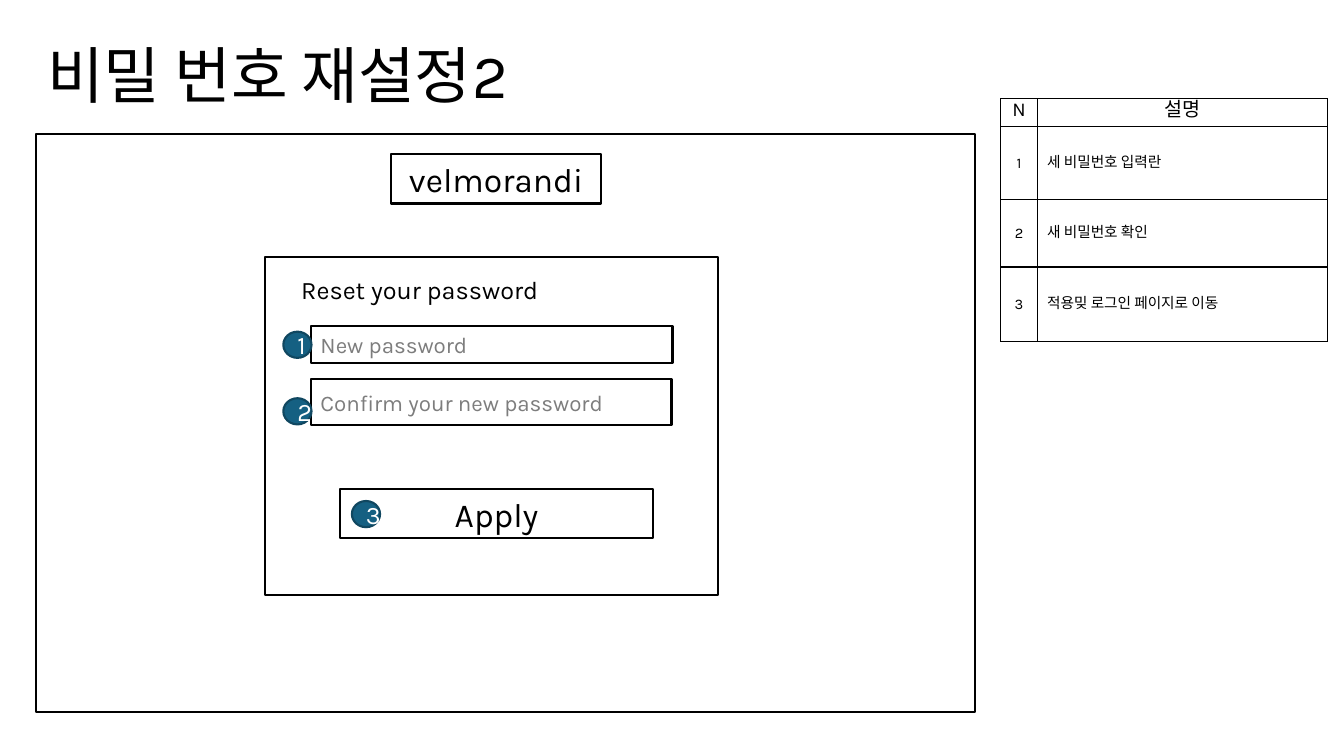
"""Build the password reset wireframe slide with its legend table."""
from dataclasses import dataclass

import pptx
import pptx.dml.color
import pptx.enum.shapes
import pptx.enum.text
import pptx.oxml
import pptx.oxml.ns
import pptx.util

SHAPE = pptx.enum.shapes.MSO_SHAPE
ALIGN = pptx.enum.text.PP_ALIGN
ANCHOR = pptx.enum.text.MSO_ANCHOR
WIDTH, HEIGHT = 13.33, 7.5


@dataclass(frozen=True)
class Theme:
    """Colours, font and type sizes of the slide."""
    font: str = "Karla"
    ink: str = "000000"
    paper: str = "FFFFFF"
    hint: str = "7D7D7D"
    badge: str = "156082"
    badge_line: str = "104760"
    title: float = 44
    button: float = 24
    heading: float = 18
    field: float = 16
    header: float = 14
    note: float = 10.5
    note_leading: float = 12.8
    line: float = 1.5
    border: float = 1


THEME = Theme()


def rgb(value):
    """Return a colour from its hex value."""
    return pptx.dml.color.RGBColor.from_string(value)


def within(box, x, y, w, h):
    """Return a box offset from another, in percent of the slide's size."""
    return box[0] + x, box[1] + y, w, h


def emu(box):
    """Turn a box in percent of the slide into lengths."""
    sides = (WIDTH, HEIGHT, WIDTH, HEIGHT)
    return [pptx.util.Inches(side * share / 100) for side, share in zip(sides, box)]


def write(tf, text, size, color=THEME.ink, align=ALIGN.LEFT):
    """Set one paragraph of styled text and return it."""
    tf.text = text
    p = tf.paragraphs[0]
    p.alignment = align
    for r in p.runs:
        r.font.name = THEME.font
        r.font.size = pptx.util.Pt(size)
        r.font.color.rgb = rgb(color)
    return p


def add_panel(slide, box, kind=SHAPE.RECTANGLE, fill=THEME.paper, line=THEME.ink):
    """Add a filled and outlined shape."""
    sp = slide.shapes.add_shape(kind, *emu(box))
    sp.shadow.inherit = False
    sp.fill.solid()
    sp.fill.fore_color.rgb = rgb(fill)
    sp.line.color.rgb = rgb(line)
    sp.line.width = pptx.util.Pt(THEME.line)
    return sp


def add_label(slide, box, text, size):
    """Add a wrapping text box and return its frame and paragraph."""
    tf = slide.shapes.add_textbox(*emu(box)).text_frame
    tf.word_wrap = True
    return tf, write(tf, text, size)


def add_title(slide, box):
    """Add the slide title."""
    tf, p = add_label(slide, box, "비밀 번호 재설정2", THEME.title)
    tf.vertical_anchor = ANCHOR.MIDDLE
    p.line_spacing = 0.9


def add_badge(slide, box, number):
    """Add a numbered marker."""
    sp = add_panel(slide, box, SHAPE.OVAL, THEME.badge, THEME.badge_line)
    write(sp.text_frame, str(number), THEME.heading, THEME.paper, ALIGN.CENTER)


def add_reset_card(slide, box):
    """Add the password form with its fields, button and markers."""
    add_panel(slide, box)
    tf, _ = add_label(slide, within(box, 1.95, 1.6, 24.68, 5.33),
                      "Reset your password", THEME.heading)
    tf.auto_size = pptx.enum.text.MSO_AUTO_SIZE.SHAPE_TO_FIT_TEXT
    fields = [("New password", 9.07, 26.93, 4.93),
              ("Confirm your new password", 16.13, 26.86, 6.13)]
    for text, y, w, h in fields:
        sp = add_panel(slide, within(box, 3.38, y, w, h))
        write(sp.text_frame, text, THEME.field, THEME.hint)
    sp = add_panel(slide, within(box, 5.55, 30.67, 23.33, 6.53))
    write(sp.text_frame, "Apply", THEME.button, align=ALIGN.CENTER)
    badges = [(1.35, 9.87), (1.35, 18.67), (6.45, 32.27)]
    for number, (x, y) in enumerate(badges, 1):
        add_badge(slide, within(box, x, y, 2.1, 3.47), number)


def add_screen(slide, box):
    """Add the mock screen with its name plate and form."""
    add_panel(slide, box)
    add_reset_card(slide, within(box, 17.03, 16.27, 33.68, 44.67))
    sp = add_panel(slide, within(box, 26.41, 2.67, 15.6, 6.53))
    write(sp.text_frame, "velmorandi", THEME.button, align=ALIGN.CENTER)


def add_borders(cell):
    """Draw all four sides of a table cell."""
    tcPr = cell._tc.get_or_add_tcPr()
    ns = pptx.oxml.ns.nsdecls("a")
    width = pptx.util.Pt(THEME.border)
    for i, side in enumerate(("lnL", "lnR", "lnT", "lnB")):
        tcPr.insert(i, pptx.oxml.parse_xml(
            f'<a:{side} {ns} w="{width}"><a:solidFill>'
            f'<a:srgbClr val="{THEME.ink}"/></a:solidFill></a:{side}>'))


def add_legend(slide, box):
    """Add the table that explains the markers."""
    rows = [("N", "설명", 3.2),
            ("1", "세 비밀번호 입력란", 9.6),
            ("2", "새 비밀번호 확인", 8.93),
            ("3", "적용밎 로그인 페이지로 이동", 9.87)]
    frame = slide.shapes.add_table(len(rows), 2, *emu(box))
    table = frame.table
    table.first_row = table.horz_banding = False
    for column, share in zip(table.columns, (1 / 9, 8 / 9)):
        column.width = pptx.util.Inches(WIDTH * box[2] / 100 * share)
    for i, (number, text, height) in enumerate(rows):
        table.rows[i].height = pptx.util.Inches(HEIGHT * height / 100)
        for j, value in enumerate((number, text)):
            cell = table.cell(i, j)
            head = i == 0
            align = ALIGN.CENTER if head or j == 0 else ALIGN.LEFT
            size = THEME.header if head else THEME.note
            p = write(cell.text_frame, value, size, align=align)
            p.line_spacing = pptx.util.Pt(THEME.note_leading)
            cell.vertical_anchor = ANCHOR.TOP if head else ANCHOR.MIDDLE
            cell.fill.background()
            add_borders(cell)


def main():
    """Build and save the slide."""
    prs = pptx.Presentation()
    prs.slide_width = pptx.util.Inches(WIDTH)
    prs.slide_height = pptx.util.Inches(HEIGHT)
    slide = prs.slides.add_slide(prs.slide_layouts[6])
    add_title(slide, (2.78, 2.93, 82.6, 14.93))
    add_screen(slide, (2.7, 17.73, 69.84, 76.4))
    add_legend(slide, (74.47, 13.07, 24.31, 31.6))
    prs.save("out.pptx")


if __name__ == "__main__":
    main()
